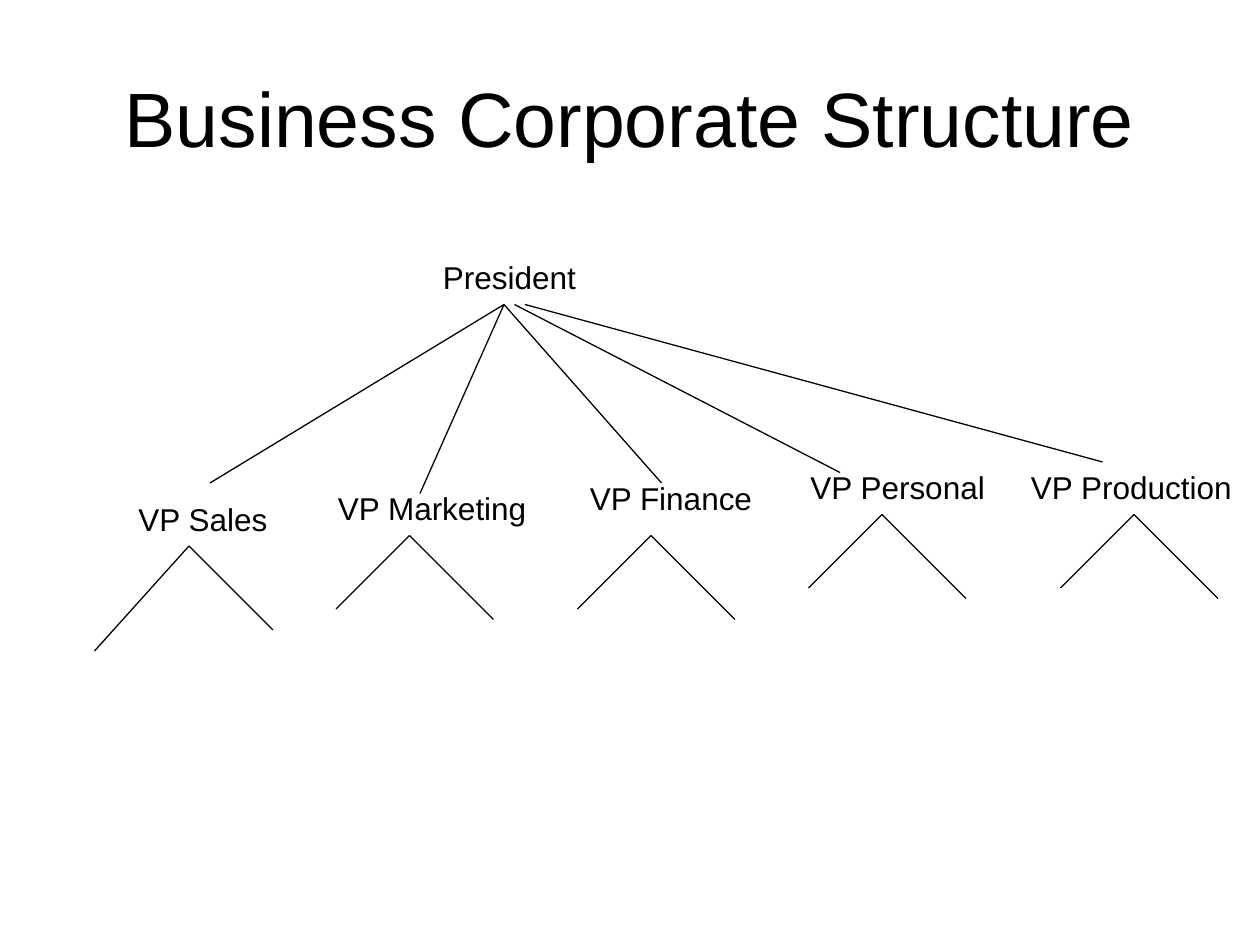
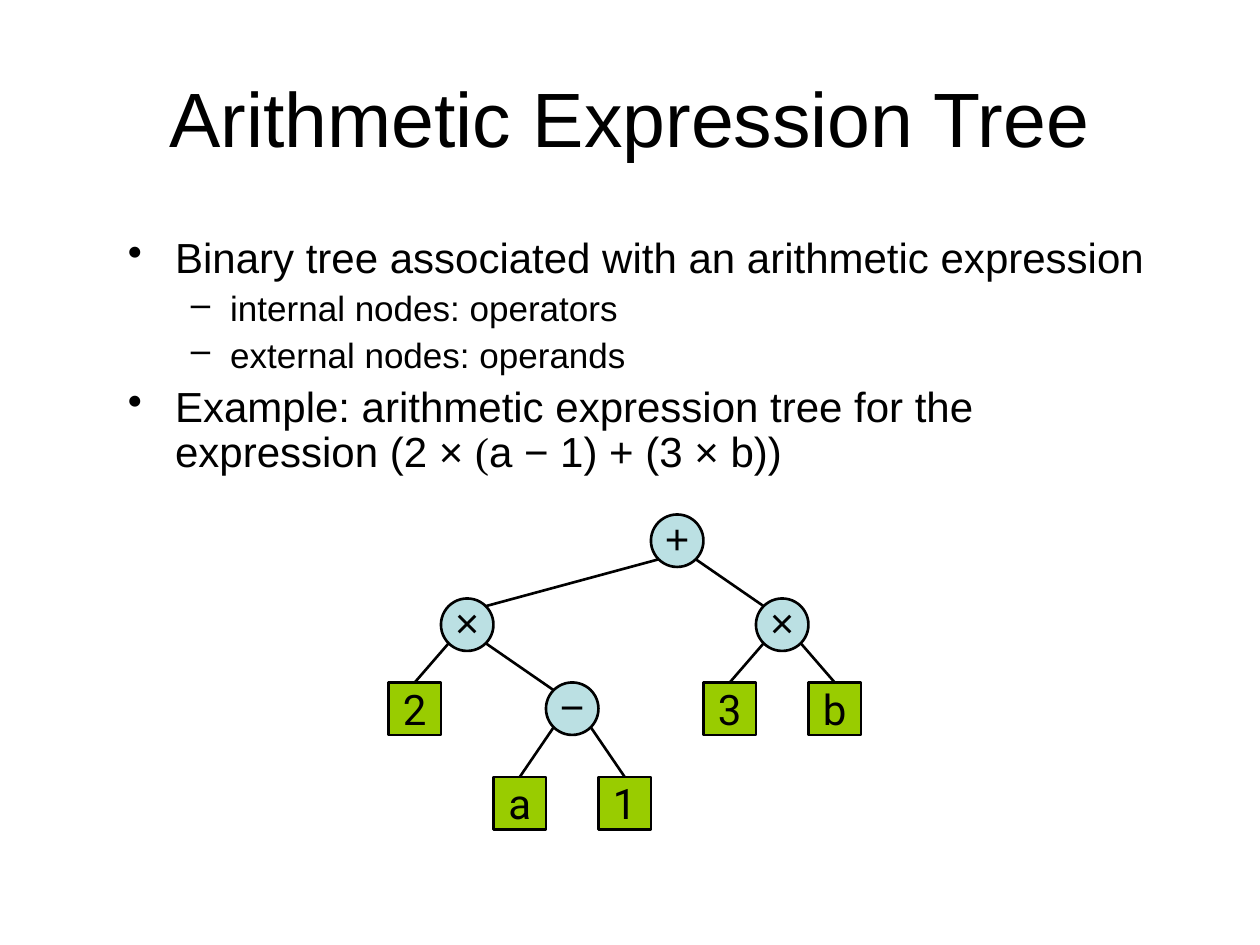
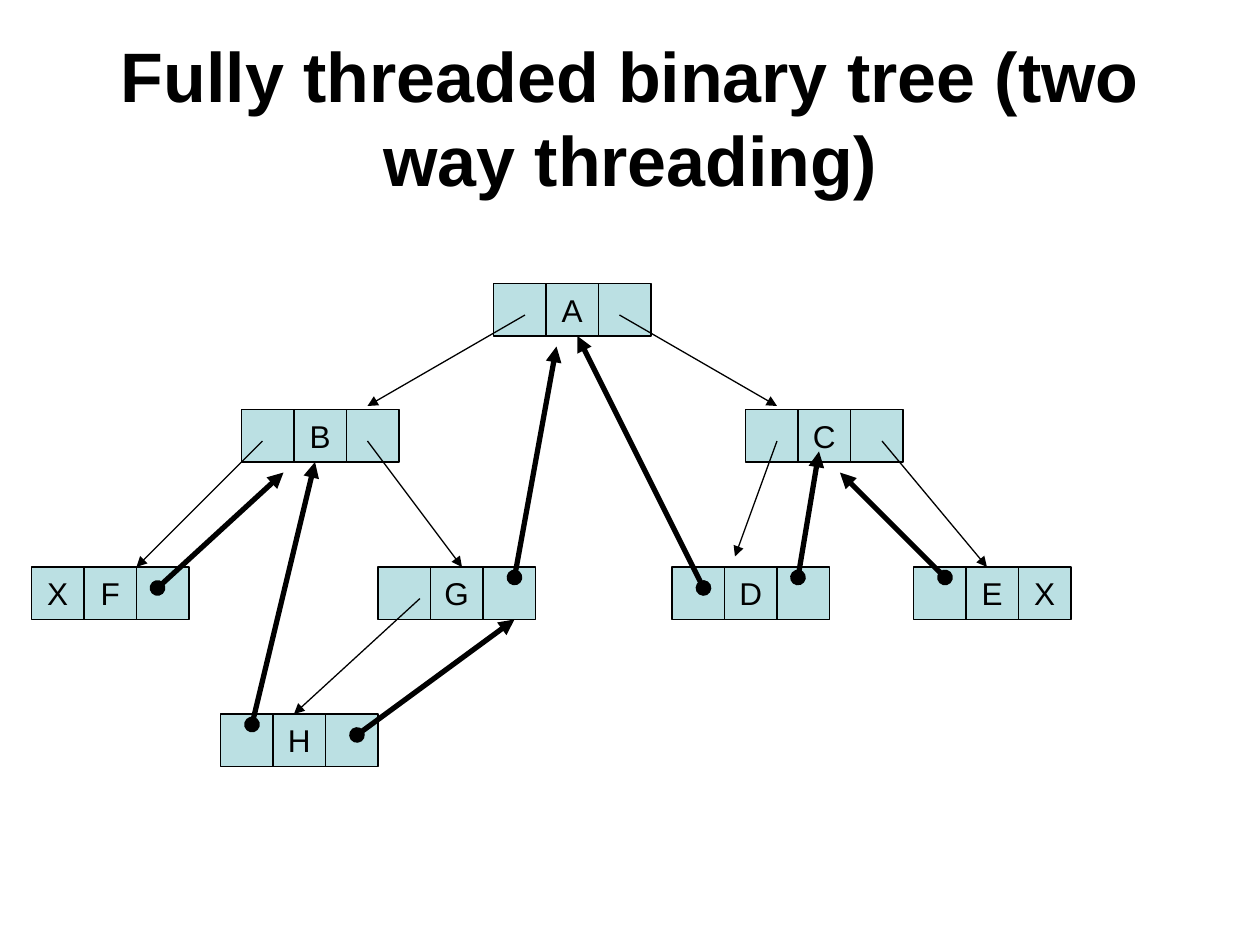
import math
from typing import Any, NamedTuple

import pptx
import pptx.dml.color
import pptx.enum.shapes
import pptx.enum.text
import pptx.oxml.ns
import pptx.util
from lxml import etree

Pt = pptx.util.Pt
qn = pptx.oxml.ns.qn
KIND = pptx.enum.shapes.MSO_SHAPE
LINE = pptx.enum.shapes.MSO_CONNECTOR.STRAIGHT
FIT = pptx.enum.text.MSO_AUTO_SIZE
MID = pptx.enum.text.MSO_ANCHOR.MIDDLE
ALIGN = pptx.enum.text.PP_ALIGN

# Shared look, lengths in points
BLACK, BLUE, GREEN = "000000", "BBE0E3", "99CC00"
FACE = "Arial"
CELL = 30
ROOT = math.sqrt(0.5)


class Label(NamedTuple):
    text: str
    left: float
    top: float
    width: float


class Fork(NamedTuple):
    x: float
    y: float
    left: tuple[float, float] = (-42, 42)
    right: tuple[float, float] = (48, 48)


class Node(NamedTuple):
    text: str
    left: float
    top: float
    kids: tuple["Node", ...] = ()


class Item(NamedTuple):
    runs: tuple[tuple[str, str], ...]
    level: int = 0


class Level(NamedTuple):
    mark: str
    size: float
    left: float
    hang: float
    gap: float


class Row(NamedTuple):
    texts: tuple[str, str, str]
    left: float
    top: float


class Edge(NamedTuple):
    x1: float
    y1: float
    x2: float
    y2: float


def paint(code: str) -> pptx.dml.color.RGBColor:
    return pptx.dml.color.RGBColor.from_string(code)


def style(thing: Any, values: dict[str, Any]) -> None:
    for name, value in values.items():
        setattr(thing, name, value)


def write(para: Any, text: str, size: float, face: str = FACE, bold: bool = False) -> None:
    run = para.add_run()
    run.text = text
    style(run.font, {"name": face, "size": Pt(size), "bold": bold})
    run.font.color.rgb = paint(BLACK)


def add_text(slide: Any, left: float, top: float, width: float, height: float, **values: Any) -> Any:
    box = slide.shapes.add_textbox(Pt(left), Pt(top), Pt(width), Pt(height))
    style(box.text_frame, {"word_wrap": True, **values})
    return box.text_frame


def add_slide(deck: Any, title: str, size: float = 44, bold: bool = False) -> Any:
    slide = deck.slides.add_slide(deck.slide_layouts[6])
    para = add_text(slide, 36, 21.6, 648, 90, vertical_anchor=MID).paragraphs[0]
    para.alignment = ALIGN.CENTER
    write(para, title, size, bold=bold)
    return slide


def add_line(shapes: Any, edge: Edge, width: float = 0.75, head: str = "", tail: str = "") -> Any:
    line = shapes.add_connector(LINE, *(Pt(value) for value in edge))
    line.line.width = Pt(width)
    line.line.color.rgb = paint(BLACK)
    props = line._element.spPr
    for tag, end in (("a:headEnd", head), ("a:tailEnd", tail)):
        if end:
            etree.SubElement(props.find(qn("a:ln")), qn(tag), type=end)
    etree.SubElement(props, qn("a:effectLst"))
    return line


def add_cell(shapes: Any, kind: Any, left: float, top: float, fill: str, width: float,
             text: str, size: float, face: str = FACE, **inset: Any) -> Any:
    cell = shapes.add_shape(kind, Pt(left), Pt(top), Pt(CELL), Pt(CELL))
    cell.shadow.inherit = False
    cell.fill.solid()
    cell.fill.fore_color.rgb = paint(fill)
    cell.line.color.rgb = paint(BLACK)
    cell.line.width = Pt(width)
    if text:
        style(cell.text_frame, {"word_wrap": False, "vertical_anchor": MID, **inset})
        para = cell.text_frame.paragraphs[0]
        para.alignment = ALIGN.CENTER
        write(para, text, size, face)
    return cell


# Business structure
LABELS = (
    Label("President", 246, 144, 120),
    Label("VP Sales", 72, 282, 90),
    Label("VP Marketing", 186, 276, 132),
    Label("VP Finance", 330, 270, 114),
    Label("VP Personal", 456, 264, 138),
    Label("VP Production", 582, 264, 138),
)
SPOKES = (
    Edge(288, 174, 120, 276),
    Edge(288, 174, 240, 282),
    Edge(288, 174, 378, 276),
    Edge(294, 174, 480, 270),
    Edge(300, 174, 630, 264),
)
FORKS = (
    Fork(108, 312, left=(-54, 60)),
    Fork(234, 306),
    Fork(372, 306),
    Fork(504, 294),
    Fork(648, 294),
)


def draw_staff(deck: Any) -> None:
    slide = add_slide(deck, "Business Corporate Structure")
    for label in LABELS:
        frame = add_text(slide, label.left, label.top, label.width, 28.8,
                         auto_size=FIT.SHAPE_TO_FIT_TEXT)
        write(frame.paragraphs[0], label.text, 18)
    for spoke in SPOKES:
        add_line(slide.shapes, spoke)
    for fork in FORKS:
        for dx, dy in (fork.left, fork.right):
            add_line(slide.shapes, Edge(fork.x, fork.y, fork.x + dx, fork.y + dy))


# Arithmetic expression
LEVELS = (Level("•", 24, 27, -27, 6), Level("–", 20, 58.5, -22.5, 5))
ITEMS = (
    Item((("Binary tree associated with an arithmetic expression", FACE),)),
    Item((("internal nodes: operators", FACE),), 1),
    Item((("external nodes: operands", FACE),), 1),
    Item((
        ("Example: arithmetic expression tree for the expression (2 × ", FACE),
        ("(", "Times New Roman"),
        ("a − 1) + (3 × b))", FACE),
    )),
)
TREE = Node("+", 372, 294, (
    Node("×", 252, 342, (
        Node("2", 222, 390),
        Node("−", 312, 390, (Node("a", 282, 444), Node("1", 342, 444))),
    )),
    Node("×", 432, 342, (Node("3", 402, 390), Node("b", 462, 390))),
))


def add_item(frame: Any, item: Item, first: bool) -> None:
    para = frame.paragraphs[0] if first else frame.add_paragraph()
    level = LEVELS[item.level]
    props = para._p.get_or_add_pPr()
    props.set("marL", str(Pt(level.left)))
    props.set("indent", str(Pt(level.hang)))
    etree.SubElement(props, qn("a:buChar"), char=level.mark)
    style(para, {"level": item.level, "line_spacing": 0.9,
                 "space_before": Pt(0 if first else level.gap)})
    for text, face in item.runs:
        write(para, text, level.size, face)


def rim(node: Node, side: int, down: int) -> tuple[float, float]:
    """Point on a circle's rim, on the diagonal towards the given side."""
    half = CELL / 2
    return node.left + half + side * half * ROOT, node.top + half + down * half * ROOT


def draw_node(shapes: Any, node: Node) -> Any:
    if not node.kids:
        return add_cell(shapes, KIND.RECTANGLE, node.left, node.top, GREEN, 1.5,
                        node.text, 24, "Roboto")
    disc = add_cell(shapes, KIND.OVAL, node.left, node.top, BLUE, 1.5, node.text, 24,
                    margin_left=0, margin_right=0, margin_top=0, margin_bottom=Pt(3.6))
    for kid in node.kids:
        shape = draw_node(shapes, kid)
        side = 1 if kid.left > node.left else -1
        end = rim(kid, -side, -1) if kid.kids else (kid.left + CELL / 2, kid.top)
        line = add_line(shapes, Edge(*rim(node, side, 1), *end), 1.5)
        if not kid.kids:
            line.end_connect(shape, 0)
    return disc


def draw_math(deck: Any) -> None:
    slide = add_slide(deck, "Arithmetic Expression Tree")
    frame = add_text(slide, 66, 132, 612, 150)
    for index, item in enumerate(ITEMS):
        add_item(frame, item, index == 0)
    draw_node(slide.shapes.add_group_shape().shapes, TREE)


# Threaded tree
ROWS = (
    Row(("", "A", ""), 282, 162),
    Row(("", "C", ""), 426, 234),
    Row(("", "B", ""), 138, 234),
    Row(("X", "F", ""), 18, 324),
    Row(("", "G", ""), 216, 324),
    Row(("", "D", ""), 384, 324),
    Row(("", "E", "X"), 522, 324),
    Row(("", "H", ""), 126, 408),
)
LINKS = (
    Edge(300, 180, 210, 232),
    Edge(354, 180, 444, 232),
    Edge(150, 252, 78, 324),
    Edge(210, 252, 264, 324),
    Edge(444, 252, 420, 318),
    Edge(504, 252, 564, 324),
    Edge(240, 342, 168, 408),
)
THREADS = (
    Edge(402, 336, 330, 192),
    Edge(144, 414, 180, 264),
    Edge(540, 330, 480, 270),
    Edge(294, 330, 318, 198),
    Edge(456, 330, 468, 258),
    Edge(204, 420, 294, 354),
    Edge(90, 336, 162, 270),
)


def draw_threads(deck: Any) -> None:
    slide = add_slide(deck, "Fully threaded binary tree (two way threading)", 40, True)
    for row in ROWS:
        for index, text in enumerate(row.texts):
            add_cell(slide.shapes, KIND.RECTANGLE, row.left + index * CELL, row.top,
                     BLUE, 0.75, text, 18)
    for link in LINKS:
        add_line(slide.shapes, link, tail="triangle")
    for thread in THREADS:
        add_line(slide.shapes, thread, 3, "oval", "triangle")


def main() -> None:
    deck = pptx.Presentation()
    style(deck, {"slide_width": Pt(720), "slide_height": Pt(540)})
    for draw in (draw_staff, draw_math, draw_threads):
        draw(deck)
    deck.save("out.pptx")


if __name__ == "__main__":
    main()
